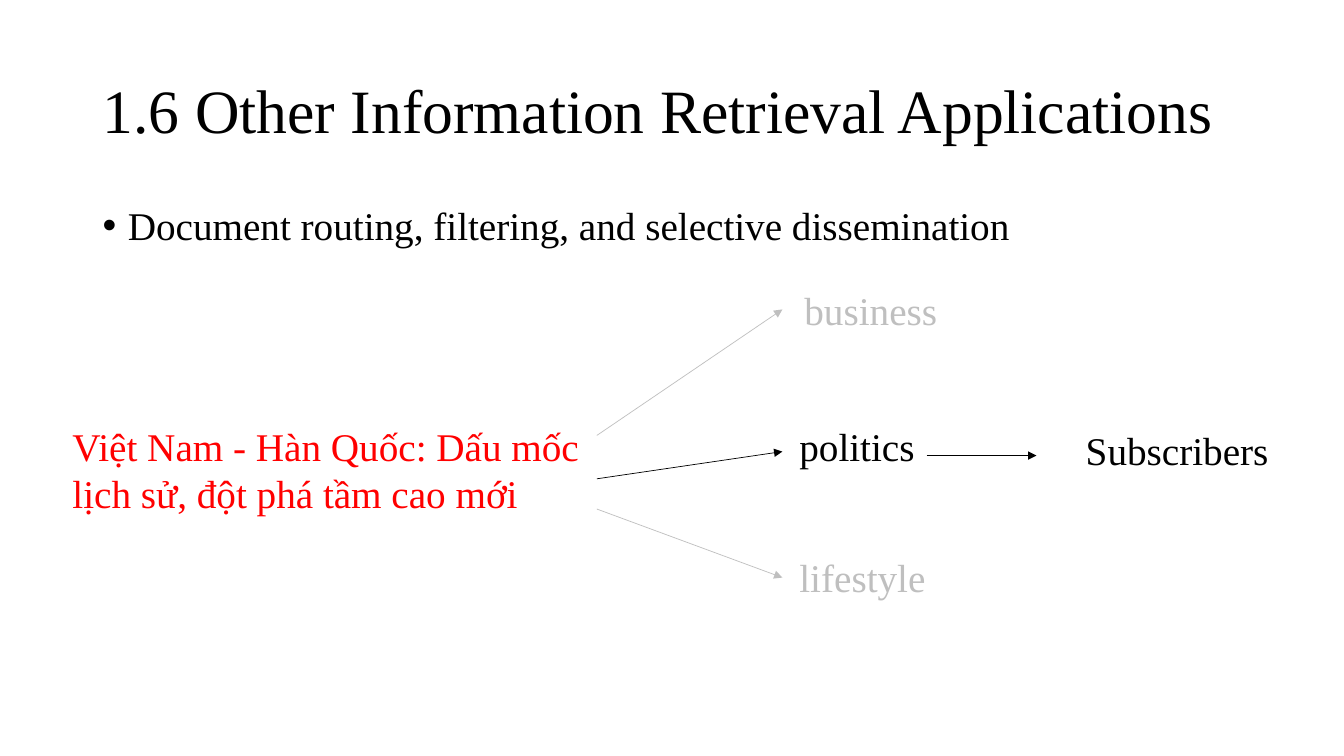
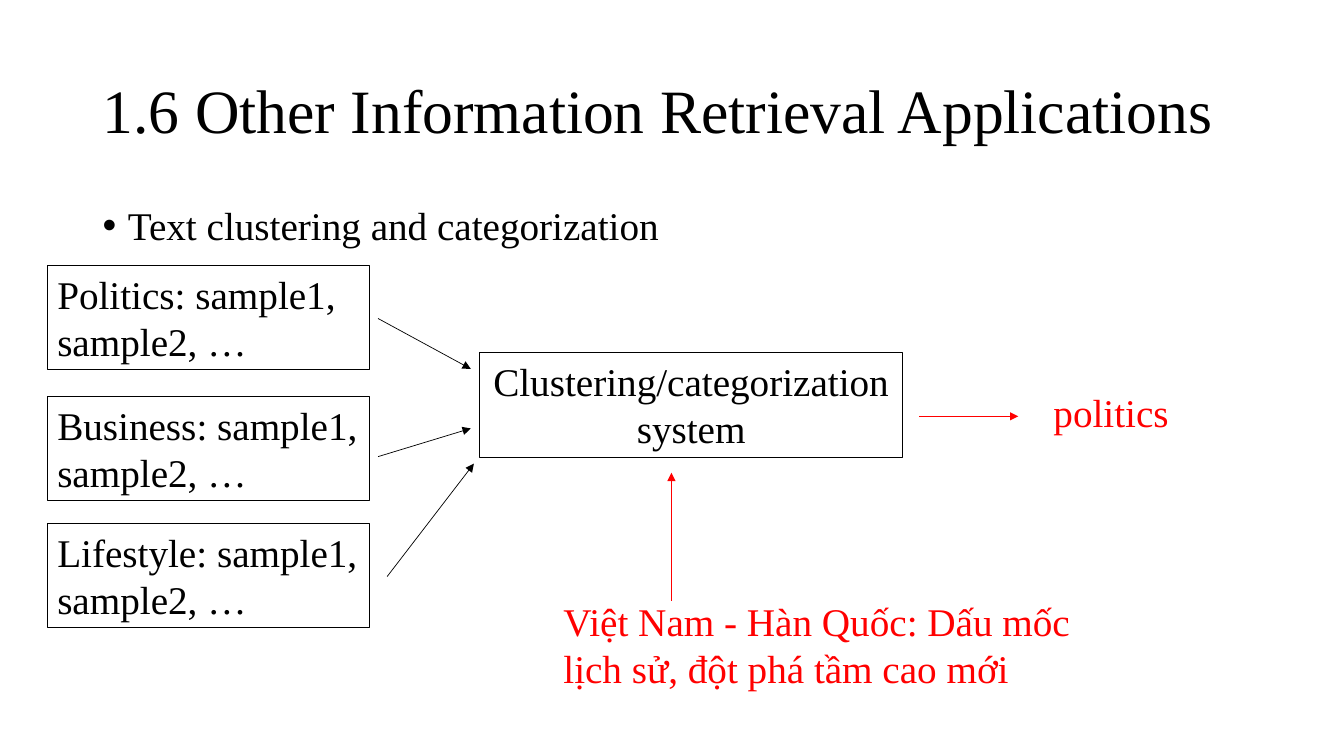
from pptx import Presentation
from pptx.dml.color import RGBColor
from pptx.enum.shapes import MSO_CONNECTOR as LINK, MSO_SHAPE as SHAPE
from pptx.enum.text import MSO_ANCHOR as ANCHOR, PP_ALIGN as ALIGN
from pptx.oxml.ns import qn
from pptx.util import Pt
from lxml.etree import SubElement as sub

SCALE = 9144
FONT = "Times New Roman"
BLACK, GREY, RED = "000000", "BFBFBF", "FF0000"
TITLE = "1.6 Other Information Retrieval Applications"
NEWS = "Việt Nam - Hàn Quốc: Dấu mốc lịch sử, đột phá tầm cao mới"
LINE_H, PAIR_H = 57, 104
BOX_X, BOX_W = 47, 320

SLIDES = [
    {
        "point": "Document routing, filtering, and selective dissemination",
        "labels": [
            (NEWS, 62, 414, 565, PAIR_H, RED),
            ("business", 788, 279, 182, LINE_H, GREY),
            ("politics", 783, 414, 182, LINE_H, BLACK),
            ("lifestyle", 783, 544, 182, LINE_H, GREY),
            ("Subscribers", 1067, 418, 205, LINE_H, BLACK),
        ],
        "boxes": [],
        "arrows": [
            (592, 432, 776, 307, GREY),
            (592, 475, 776, 448, BLACK),
            (592, 505, 776, 573, GREY),
            (919, 452, 1028, 452, BLACK),
        ],
    },
    {
        "point": "Text clustering and categorization",
        "labels": [
            (NEWS, 549, 588, 537, PAIR_H, RED),
            ("politics", 1035, 380, 182, LINE_H, RED),
        ],
        "boxes": [
            ("Clustering/categorization system", 476, 350, 419, ALIGN.CENTER),
            ("Politics: sample1, sample2, …", BOX_X, 263, BOX_W, ALIGN.LEFT),
            ("Business: sample1, sample2, …", BOX_X, 393, BOX_W, ALIGN.LEFT),
            ("Lifestyle: sample1, sample2, …", BOX_X, 519, BOX_W, ALIGN.LEFT),
        ],
        "arrows": [
            (375, 316, 467, 366, BLACK),
            (375, 453, 467, 425, BLACK),
            (384, 572, 470, 460, BLACK),
            (666, 596, 666, 469, RED),
            (912, 413, 1010, 413, RED),
        ],
    },
]


def px(*vals):
    return [val * SCALE for val in vals]


def tint(code):
    return RGBColor.from_string(code)


def write(slide, text, x, y, w, h, size=28, color=BLACK, align=ALIGN.LEFT,
          anchor=ANCHOR.TOP, space=None, before=0, bullet=False, border=False):
    if border:
        shape = slide.shapes.add_shape(SHAPE.RECTANGLE, *px(x, y, w, h))
        shape.shadow.inherit = False
        shape.fill.background()
        shape.line.color.rgb = tint(BLACK)
        shape.line.width = Pt(0.75)
    else:
        shape = slide.shapes.add_textbox(*px(x, y, w, h))
    frame = shape.text_frame
    frame.word_wrap = True
    frame.vertical_anchor = anchor
    frame.margin_left, frame.margin_right = px(10, 10)
    frame.margin_top, frame.margin_bottom = px(5, 5)
    para = frame.paragraphs[0]
    para.alignment = align
    para.line_spacing = space
    para.space_before = Pt(before)
    if bullet:
        props = para._p.get_or_add_pPr()
        props.set("marL", str(25 * SCALE))
        props.set("indent", str(-25 * SCALE))
        sub(props, qn("a:buFont"), typeface="Arial")
        sub(props, qn("a:buChar"), char="•")
    run = para.add_run()
    run.text = text
    run.font.name = FONT
    run.font.size = Pt(size)
    run.font.color.rgb = tint(color)


def arrow(slide, x1, y1, x2, y2, color):
    line = slide.shapes.add_connector(LINK.STRAIGHT, *px(x1, y1, x2, y2))
    line.line.color.rgb = tint(color)
    line.line.width = Pt(0.5)
    sub(line.line._get_or_add_ln(), qn("a:tailEnd"), type="triangle")
    sub(line._element.spPr, qn("a:effectLst"))


def build(deck, data):
    slide = deck.slides.add_slide(deck.slide_layouts[6])
    write(slide, TITLE, 92, 40, 1150, 145, size=44, anchor=ANCHOR.MIDDLE, space=0.9)
    write(slide, data["point"], 92, 200, 1150, 476, space=0.9, before=10, bullet=True)
    for text, x, y, w, h, color in data["labels"]:
        write(slide, text, x, y, w, h, color=color)
    for text, x, y, w, align in data["boxes"]:
        write(slide, text, x, y, w, PAIR_H, align=align, border=True)
    for ends in data["arrows"]:
        arrow(slide, *ends)


def main():
    deck = Presentation()
    deck.slide_width, deck.slide_height = px(1333, 750)
    for data in SLIDES:
        build(deck, data)
    deck.save("out.pptx")


if __name__ == "__main__":
    main()
